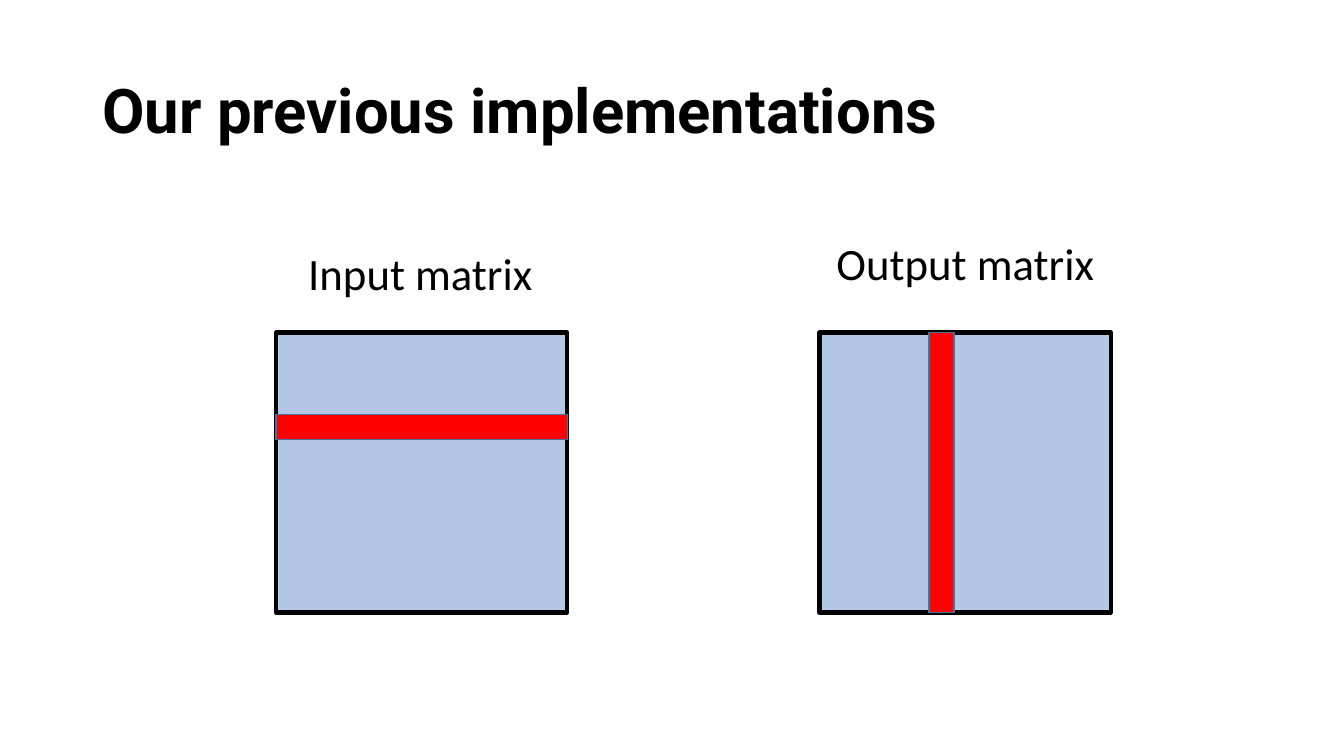
"""Build the slide on previous implementations, with an input and an output matrix."""
from pptx import Presentation
from pptx.dml.color import RGBColor
from pptx.enum.shapes import MSO_SHAPE
from pptx.enum.text import MSO_ANCHOR, MSO_AUTO_SIZE, PP_ALIGN
from pptx.util import Pt

RECTANGLE = MSO_SHAPE.RECTANGLE
MIDDLE = MSO_ANCHOR.MIDDLE
FIT_SHAPE = MSO_AUTO_SIZE.SHAPE_TO_FIT_TEXT
NO_FIT = MSO_AUTO_SIZE.NONE
LEFT = PP_ALIGN.LEFT

MATRIX_TOP, MATRIX_WIDTH, MATRIX_HEIGHT = 237.6, 208, 200
INPUT_LEFT, OUTPUT_LEFT = 197.3, 585.4
STRIPE = 18


def color(value):
    return RGBColor.from_string(value)


def style_font(font, name, size, bold):
    font.name = name
    font.size = Pt(size)
    font.bold = bold
    font.color.rgb = color("000000")


deck = Presentation()
deck.slide_width, deck.slide_height = Pt(960), Pt(540)
page = deck.slides.add_slide(deck.slide_layouts[5])

title = page.shapes.title
title.left, title.top, title.width, title.height = Pt(66), Pt(28.8), Pt(828), Pt(104.4)
frame = title.text_frame
frame.text = "Our previous implementations"
frame.word_wrap = True
frame.auto_size = NO_FIT
frame.vertical_anchor = MIDDLE
para = frame.paragraphs[0]
para.alignment = LEFT
para.line_spacing = 0.9
style_font(para.runs[0].font, "Roboto", 44, True)

column_center = 672.5
middle = MATRIX_TOP + MATRIX_HEIGHT / 2
rectangles = [
    (INPUT_LEFT, MATRIX_TOP, MATRIX_WIDTH, MATRIX_HEIGHT, 0, "B4C7E7", "000000", 3),
    (OUTPUT_LEFT, MATRIX_TOP, MATRIX_WIDTH, MATRIX_HEIGHT, 0, "B4C7E7", "000000", 3),
    (INPUT_LEFT, 296, MATRIX_WIDTH, STRIPE, 0, "FF0000", "43739E", 1),
    (column_center - MATRIX_HEIGHT / 2, middle - STRIPE / 2, MATRIX_HEIGHT, STRIPE,
     90, "FF0000", "43739E", 1),
]
for left, top, width, height, rotation, fill, line, weight in rectangles:
    box = page.shapes.add_shape(RECTANGLE, Pt(left), Pt(top), Pt(width), Pt(height))
    box.rotation = rotation
    box.shadow.inherit = False
    box.fill.solid()
    box.fill.fore_color.rgb = color(fill)
    box.line.color.rgb = color(line)
    box.line.width = Pt(weight)

labels = [("Input matrix", 213.1, 172, 175.7), ("Output matrix", 590.4, 164.9, 229.7)]
for text, left, top, width in labels:
    label = page.shapes.add_textbox(Pt(left), Pt(top), Pt(width), Pt(46))
    frame = label.text_frame
    frame.text = text
    frame.word_wrap = True
    frame.auto_size = FIT_SHAPE
    style_font(frame.paragraphs[0].runs[0].font, "Calibri", 32, False)

deck.save("out.pptx")
